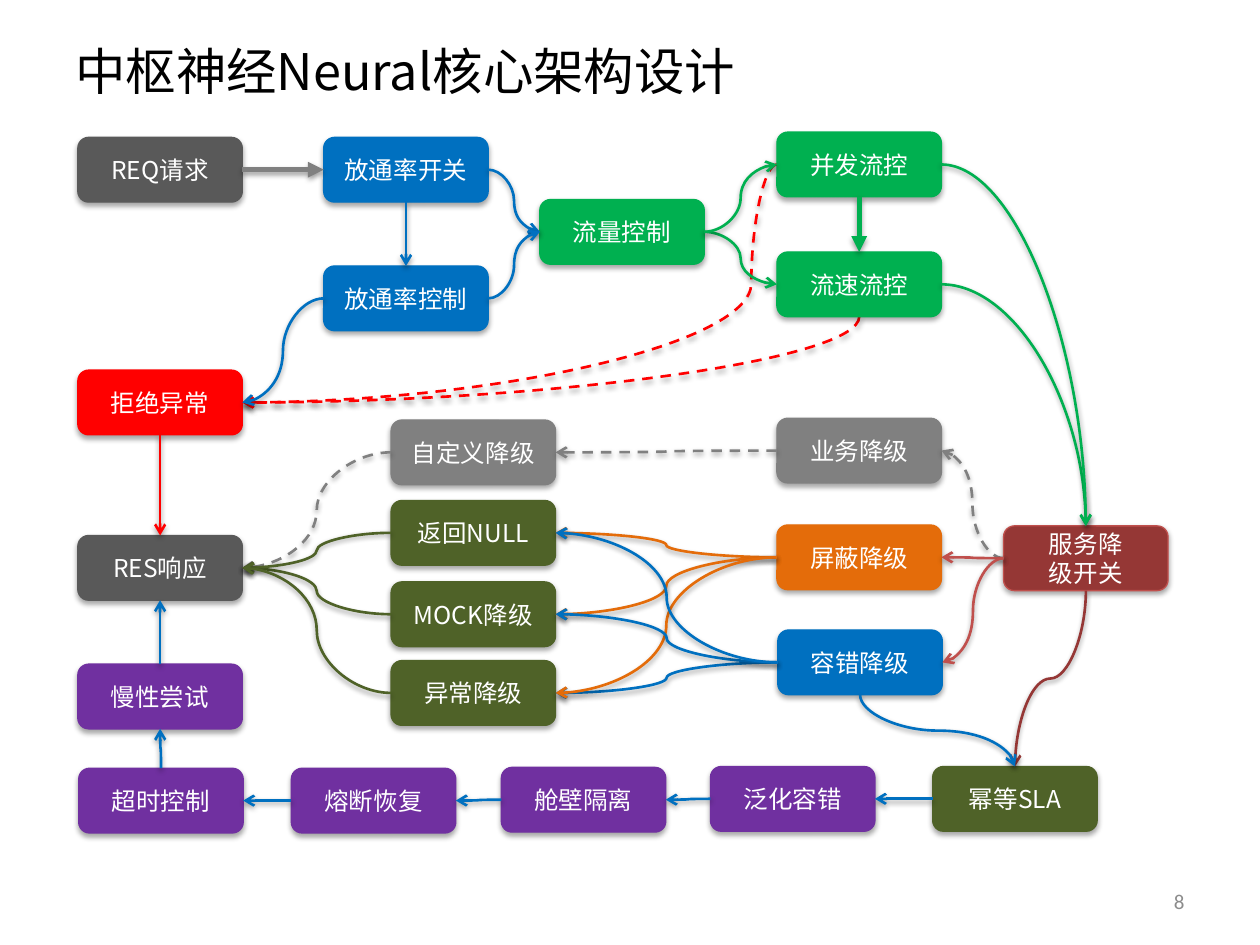
from lxml import etree
from pptx import Presentation
from pptx.dml.color import RGBColor
from pptx.enum import dml, shapes, text
from pptx.oxml import ns
from pptx.util import Pt

SANS = "Noto Sans CJK SC"
RED, BLUE, GREEN, GREY = "FF0000", "0070C0", "00B050", "808080"
DARK, OLIVE, PURPLE = "595959", "4F6228", "7030A0"
ORANGE, ROSE, WINE = "E46C0A", "C0504D", "953735"
WIDE, HIGH = 94, 37

# name: left, top, fill
NODES = {
    "REQ请求": (44.5, 78.5, DARK),
    "放通率开关": (185, 78.5, BLUE),
    "放通率控制": (185, 152, BLUE),
    "流量控制": (308.5, 114, GREEN),
    "并发流控": (444, 75.5, GREEN),
    "流速流控": (444, 144, GREEN),
    "拒绝异常": (44.5, 211.5, RED),
    "RES响应": (44.5, 306, DARK),
    "自定义降级": (223.5, 240, GREY),
    "返回NULL": (223.5, 286, OLIVE),
    "MOCK降级": (223.5, 332.5, OLIVE),
    "异常降级": (223.5, 377.5, OLIVE),
    "业务降级": (444, 239, GREY),
    "屏蔽降级": (444, 300, ORANGE),
    "容错降级": (444.5, 360, BLUE),
    "服务降\n级开关": (573.5, 300.5, WINE),
    "慢性尝试": (44.5, 379.5, PURPLE),
    "超时控制": (45, 439, PURPLE),
    "熔断恢复": (166.5, 439, PURPLE),
    "舱壁隔离": (286.5, 438.5, PURPLE),
    "泛化容错": (406, 438, PURPLE),
    "幂等SLA": (533, 438, OLIVE),
}
SWITCH = "服务降\n级开关"

# from, to, sides left and entered, colour
LINKS = [
    ("拒绝异常", "RES响应", "bt", RED),
    ("放通率开关", "放通率控制", "bt", BLUE),
    ("放通率开关", "流量控制", "rl", BLUE),
    ("放通率控制", "流量控制", "rl", BLUE),
    ("放通率控制", "拒绝异常", "lr", BLUE),
    ("流量控制", "流速流控", "rl", GREEN),
    ("流量控制", "并发流控", "rl", GREEN),
    ("容错降级", "异常降级", "lr", BLUE),
    (SWITCH, "屏蔽降级", "lr", ROSE),
    (SWITCH, "容错降级", "lr", ROSE),
    ("屏蔽降级", "返回NULL", "lr", ORANGE),
    ("屏蔽降级", "MOCK降级", "lr", ORANGE),
    ("屏蔽降级", "异常降级", "lr", ORANGE),
    ("容错降级", "MOCK降级", "lr", BLUE),
    ("容错降级", "返回NULL", "lr", BLUE),
    (SWITCH, "幂等SLA", "bt", WINE),
    ("容错降级", "幂等SLA", "bt", BLUE),
    ("幂等SLA", "泛化容错", "lr", BLUE),
    ("泛化容错", "舱壁隔离", "lr", BLUE),
    ("舱壁隔离", "熔断恢复", "lr", BLUE),
    ("熔断恢复", "超时控制", "lr", BLUE),
    ("超时控制", "慢性尝试", "tb", BLUE),
    ("慢性尝试", "RES响应", "tb", BLUE),
    ("MOCK降级", "RES响应", "lr", OLIVE),
    ("返回NULL", "RES响应", "lr", OLIVE),
    ("异常降级", "RES响应", "lr", OLIVE),
    ("流速流控", SWITCH, "rt", GREEN),
    ("并发流控", SWITCH, "rt", GREEN),
]
DASHED = [
    (SWITCH, "业务降级", "lr", GREY),
    ("业务降级", "自定义降级", "lr", GREY),
    ("自定义降级", "RES响应", "lr", GREY),
]


def rgb(code):
    return RGBColor.from_string(code)


def sub(node, tag, **attrs):
    return etree.SubElement(node, ns.qn(tag), {k: str(v) for k, v in attrs.items()})


def shade(shape, dist, alpha):
    """Give the shape a soft shadow straight below it."""
    fx = sub(shape._element.spPr, "a:effectLst")
    out = sub(fx, "a:outerShdw", blurRad=Pt(3.1), dist=Pt(dist), dir=5400000, rotWithShape=0)
    color = sub(out, "a:srgbClr", val="000000")
    sub(color, "a:alpha", val=alpha * 1000)


def write(shape, words, size=14, color="FFFFFF", font=SANS, align="CENTER"):
    frame = shape.text_frame
    frame.word_wrap = True
    frame.vertical_anchor = text.MSO_ANCHOR.MIDDLE
    frame.text = words
    for para in frame.paragraphs:
        para.alignment = getattr(text.PP_ALIGN, align)
        for run in para.runs:
            run.font.size = Pt(size)
            run.font.color.rgb = rgb(color)
            run.font.name = font
            sub(run.font._element, "a:ea", typeface=font)


def port(name, side):
    """Middle of one side of a node: l, r, t or b."""
    x, y, _ = NODES[name]
    dx, dy = {"l": (0, 0.5), "r": (1, 0.5), "t": (0.5, 0), "b": (0.5, 1)}[side]
    return x + dx * WIDE, y + dy * HIGH


class Chart:
    def __init__(self, deck):
        self.slide = deck.slides.add_slide(deck.slide_layouts[6])

    def label(self, box, words, **style):
        write(self.slide.shapes.add_textbox(*map(Pt, box)), words, **style)

    def node(self, name):
        x, y, fill = NODES[name]
        box = self.slide.shapes.add_shape(
            shapes.MSO_SHAPE.ROUNDED_RECTANGLE, Pt(x), Pt(y), Pt(WIDE), Pt(HIGH))
        box.fill.solid()
        box.fill.fore_color.rgb = rgb(fill)
        box.line.color.rgb = rgb(ROSE if fill == WINE else fill)
        box.line.width = Pt(0.75)
        shade(box, 1.8, 35)
        write(box, name)

    def link(self, start, end, sides, color, width=1.5, dash=False,
             head="arrow", bend=None, curved=True):
        """Join two nodes; a curve that leaves vertically is a turned one."""
        (x1, y1), (x2, y2) = port(start, sides[0]), port(end, sides[1])
        turn = curved and sides[0] in "tb"
        down = y2 > y1
        if turn:
            midx, midy = (x1 + x2) / 2, (y1 + y2) / 2
            run = abs(y2 - y1) / 2
            rise = (x1 - x2) / 2 if down else (x2 - x1) / 2
            x1, y1, x2, y2 = midx - run, midy - rise, midx + run, midy + rise
        kind = shapes.MSO_CONNECTOR.CURVE if curved else shapes.MSO_CONNECTOR.STRAIGHT
        line = self.slide.shapes.add_connector(kind, Pt(x1), Pt(y1), Pt(x2), Pt(y2))
        props = line._element.spPr
        if turn:
            props.find(ns.qn("a:xfrm")).set("rot", str((90 if down else 270) * 60000))
        geom = props.find(ns.qn("a:prstGeom"))
        if (sides[0] in "tb") != (sides[1] in "tb"):
            geom.set("prst", "curvedConnector2")
        if bend is not None:
            sub(geom.find(ns.qn("a:avLst")), "a:gd", name="adj1", fmla=f"val {bend}")
        line.line.color.rgb = rgb(color)
        line.line.width = Pt(width)
        if dash:
            line.line.dash_style = dml.MSO_LINE.DASH
        sub(props.find(ns.qn("a:ln")), "a:tailEnd", type=head)
        shade(line, 1.6, 38)


def main():
    deck = Presentation()
    deck.slide_width, deck.slide_height = Pt(720), Pt(540)
    flow = Chart(deck)
    flow.link("并发流控", "拒绝异常", "lr", RED, dash=True, bend=4800)
    flow.link("流速流控", "拒绝异常", "br", RED, dash=True)
    flow.label((36, 21.5, 648, 37), "中枢神经Neural核心架构设计",
               size=28.8, color="000000", align="LEFT")
    flow.label((516, 500.5, 168, 28.5), "8",
               size=12, color="8C8C8C", font="Calibri", align="RIGHT")
    for name in NODES:
        flow.node(name)
    flow.link("REQ请求", "放通率开关", "rl", GREY, width=3, head="triangle")
    flow.link("并发流控", "流速流控", "bt", GREEN, width=3, head="triangle", curved=False)
    for row in DASHED:
        flow.link(*row, dash=True)
    for row in LINKS:
        flow.link(*row)
    deck.save("out.pptx")


if __name__ == "__main__":
    main()
